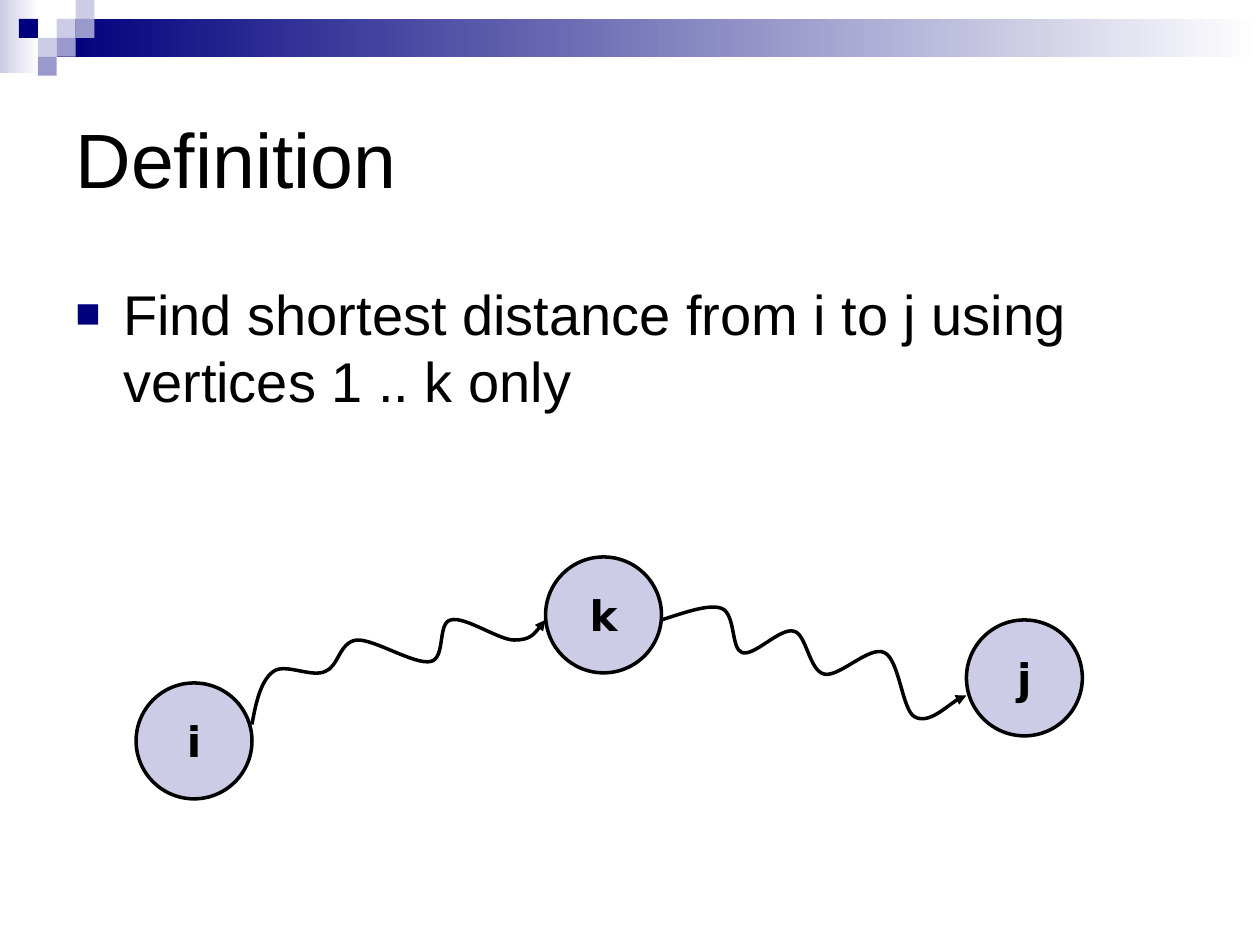
from lxml import etree
from pptx import Presentation
from pptx import util as u
from pptx.dml.color import RGBColor
from pptx.enum import shapes, text
from pptx.oxml.ns import qn

PX = 9144  # EMU per px, 100 px to the inch
COLORS = {"navy": "00007D", "mid": "9999CC", "light": "CCCCE6",
          "white": "FFFFFF", "black": "000000"}


def rgb(name):
    return RGBColor.from_string(COLORS[name])


def px(*values):
    return [u.Emu(v * PX) for v in values]


def style_run(p, font, size, bold=False):
    f = p.runs[0].font
    f.name, f.size, f.bold = font, u.Pt(size), bold
    f.color.rgb = rgb("black")


def set_margins(tf):
    tf.margin_left = tf.margin_right = u.Inches(0.1)
    tf.margin_top = tf.margin_bottom = u.Inches(0.05)


def add_rect(s, x, y, w, h, *fill):
    """One colour gives a solid fill, two give a left-to-right gradient."""
    sp = s.shapes.add_shape(shapes.MSO_SHAPE.RECTANGLE, *px(x, y, w, h))
    sp.shadow.inherit = False
    sp.line.fill.background()
    if len(fill) == 1:
        sp.fill.solid()
        sp.fill.fore_color.rgb = rgb(fill[0])
        return
    sp.fill.gradient()
    sp.fill.gradient_angle = 0
    for stop, name in zip(sp.fill.gradient_stops, fill):
        stop.color.rgb = rgb(name)


def add_header(s, x, y, w):
    cell = 15
    add_rect(s, x, y, 31, 58, "light", "white")
    add_rect(s, x + 3 * cell, y + cell, w - 3 * cell, 2 * cell, "navy", "white")
    squares = [(3, 1, "light"), (4, 0, "light"), (4, 1, "mid"), (2, 2, "light"),
               (1, 1, "navy"), (3, 2, "mid"), (2, 3, "mid")]
    for col, row, name in squares:
        add_rect(s, x + col * cell, y + row * cell, cell, cell, name)


def add_title(s, x, y, w, h, words):
    sp = s.shapes.title
    sp.left, sp.top, sp.width, sp.height = px(x, y, w, h)
    tf = sp.text_frame
    tf.text = words
    tf.vertical_anchor = text.MSO_ANCHOR.MIDDLE
    set_margins(tf)
    p = tf.paragraphs[0]
    p.alignment = text.PP_ALIGN.LEFT
    style_run(p, "Arial", 44)


def add_body(s, x, y, w, h, words):
    tf = s.shapes.add_textbox(*px(x, y, w, h)).text_frame
    tf.word_wrap = True
    set_margins(tf)
    tf.text = words
    p = tf.paragraphs[0]
    p.space_before = u.Pt(8)
    style_run(p, "Arial", 32)
    # Square bullet with a hanging indent
    pPr = p._p.get_or_add_pPr()
    indent = 38 * PX
    pPr.set("marL", str(indent))
    pPr.set("indent", str(-indent))
    color = etree.SubElement(pPr, qn("a:buClr"))
    etree.SubElement(color, qn("a:srgbClr"), val=COLORS["navy"])
    etree.SubElement(pPr, qn("a:buSzPct"), val="75000")
    etree.SubElement(pPr, qn("a:buFont"), typeface="Arial")
    etree.SubElement(pPr, qn("a:buChar"), char="■")


def add_node(s, x, y, label):
    sp = s.shapes.add_shape(shapes.MSO_SHAPE.OVAL, *px(x, y, 92, 92))
    sp.shadow.inherit = False
    sp.fill.solid()
    sp.fill.fore_color.rgb = rgb("light")
    sp.line.color.rgb = rgb("black")
    sp.line.width = u.Pt(2)
    tf = sp.text_frame
    tf.word_wrap = False
    tf.vertical_anchor = text.MSO_ANCHOR.MIDDLE
    set_margins(tf)
    tf.text = label
    p = tf.paragraphs[0]
    p.alignment = text.PP_ALIGN.CENTER
    style_run(p, "DejaVu Sans", 24, bold=True)


def add_wavy_arrow(s, x, y, points):
    """Points are a start, then two controls and an end for each curve."""
    points = [(x + dx, y + dy) for dx, dy in points]
    builder = s.shapes.build_freeform(*points[0], scale=PX)
    builder.add_line_segments(points[1:], close=False)
    sp = builder.convert_to_shape()
    sp.shadow.inherit = False
    sp.fill.background()
    sp.line.color.rgb = rgb("black")
    sp.line.width = u.Pt(2)
    etree.SubElement(sp.line._get_or_add_ln(), qn("a:tailEnd"), type="triangle")
    # Turn each three line segments into one cubic curve
    lines = list(sp._element.iter(qn("a:lnTo")))
    outline = lines[0].getparent()
    for i in range(0, len(lines), 3):
        curve = etree.SubElement(outline, qn("a:cubicBezTo"))
        for line in lines[i:i + 3]:
            curve.append(line[0])
            outline.remove(line)


def add_graph(s, x, y):
    for dx, dy, label in [(0, 100, "i"), (325, 0, "k"), (659, 50, "j")]:
        add_node(s, x + dx, y + dy, label)
    # From i to k
    add_wavy_arrow(s, x + 92, y + 47, [
        (0, 86), (3, 69), (7, 51), (17, 44), (26, 37), (47, 49), (58, 44),
        (69, 40), (69, 21), (83, 19), (97, 18), (129, 39), (142, 36),
        (154, 33), (147, 5), (158, 3), (169, 0), (196, 19), (208, 19),
        (221, 19), (227, 11), (233, 3)])
    # From k to j
    add_wavy_arrow(s, x + 417, y + 37, [
        (0, 13), (19, 7), (38, 0), (48, 4), (59, 9), (55, 36), (64, 39),
        (74, 42), (94, 19), (105, 22), (115, 24), (117, 53), (129, 56),
        (141, 59), (165, 33), (177, 39), (189, 45), (191, 85), (201, 90),
        (212, 96), (236, 73), (242, 73)])


def main():
    prs = Presentation()
    prs.slide_width, prs.slide_height = px(1000, 750)
    s = prs.slides.add_slide(prs.slide_layouts.get_by_name("Title Only"))
    add_header(s, 0, 0, 1000)
    add_title(s, 50, 50, 900, 150, "Definition")
    add_body(s, 50, 217, 900, 425,
             "Find shortest distance from i to j using vertices 1 .. k only")
    add_graph(s, 108, 442)
    prs.save("out.pptx")


if __name__ == "__main__":
    main()
